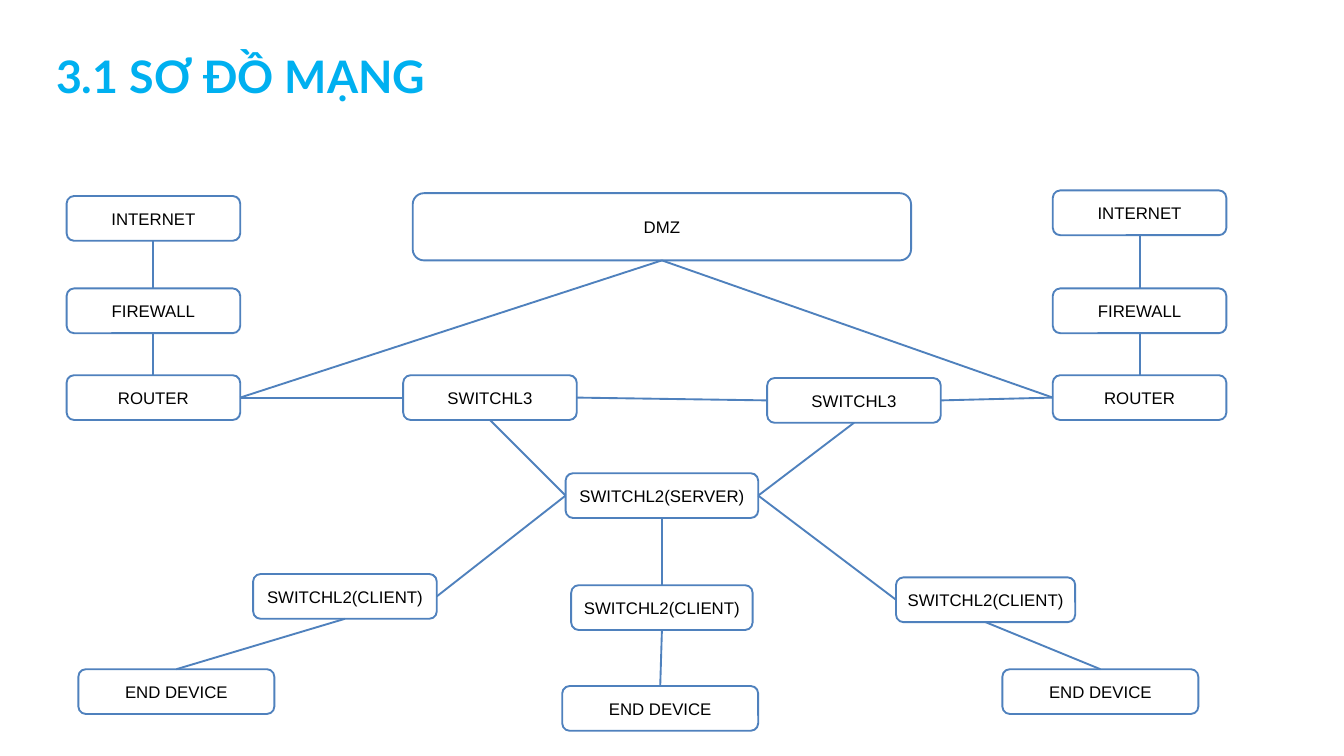
from dataclasses import dataclass
from enum import IntEnum

from lxml.etree import SubElement
from pptx import Presentation
from pptx.dml.color import RGBColor
from pptx.enum.shapes import MSO_CONNECTOR as Connector, MSO_SHAPE as Shape
from pptx.enum.text import MSO_ANCHOR as Anchor, PP_ALIGN as Align
from pptx.oxml.ns import qn
from pptx.util import Inches, Pt


@dataclass(frozen=True)
class Theme:
    accent: RGBColor = RGBColor(0x00, 0xB0, 0xF0)
    outline: RGBColor = RGBColor(0x4F, 0x81, 0xBD)
    ink: RGBColor = RGBColor(0, 0, 0)
    title_font: str = "Lato"
    label_font: str = "Arial"
    title_size: int = 48
    label_size: int = 18
    title_leading: float = 92.4
    stroke: int = 2


class Side(IntEnum):
    TOP = 0
    LEFT = 1
    BOTTOM = 2
    RIGHT = 3


@dataclass(frozen=True)
class Node:
    label: str
    column: float
    row: float
    columns: float = 31
    rows: float = 8


@dataclass(frozen=True)
class Link:
    start: str
    start_side: Side
    end: str
    end_side: Side


THEME = Theme()
WIDTH, HEIGHT = Inches(20), Inches(11.25)
COLUMNS, ROWS = 240, 135
LEFT_SITE, RIGHT_SITE = 11.9, 188

NODES = {
    "internet_left": Node("INTERNET", LEFT_SITE, 35),
    "internet_right": Node("INTERNET", RIGHT_SITE, 34),
    "firewall_left": Node("FIREWALL", LEFT_SITE, 51.5),
    "firewall_right": Node("FIREWALL", RIGHT_SITE, 51.5),
    "router_left": Node("ROUTER", LEFT_SITE, 67),
    "router_right": Node("ROUTER", RIGHT_SITE, 67),
    "dmz": Node("DMZ", 73.7, 34.5, 89, 12),
    "core_left": Node("SWITCHL3", 72, 67),
    "core_right": Node("SWITCHL3", 137, 67.5),
    "server": Node("SWITCHL2(SERVER)", 101, 84.5, 34.4),
    "client_left": Node("SWITCHL2(CLIENT)", 45.2, 102.5, 32.8),
    "client_middle": Node("SWITCHL2(CLIENT)", 102, 104.5, 32.4),
    "client_right": Node("SWITCHL2(CLIENT)", 160, 103.1, 32),
    "device_left": Node("END DEVICE", 14, 119.5, 35),
    "device_middle": Node("END DEVICE", 100.4, 122.5, 35),
    "device_right": Node("END DEVICE", 179, 119.5, 35),
}

DOWNWARD = [
    ("internet_left", "firewall_left"),
    ("firewall_left", "router_left"),
    ("internet_right", "firewall_right"),
    ("firewall_right", "router_right"),
    ("server", "client_middle"),
    ("client_left", "device_left"),
    ("client_middle", "device_middle"),
    ("client_right", "device_right"),
]
RIGHTWARD = [
    ("router_left", "core_left"),
    ("core_left", "core_right"),
    ("core_right", "router_right"),
    ("client_left", "server"),
    ("server", "client_right"),
]
LINKS = [
    *(Link(upper, Side.BOTTOM, lower, Side.TOP) for upper, lower in DOWNWARD),
    *(Link(near, Side.RIGHT, far, Side.LEFT) for near, far in RIGHTWARD),
    Link("core_left", Side.BOTTOM, "server", Side.LEFT),
    Link("core_right", Side.BOTTOM, "server", Side.RIGHT),
    Link("dmz", Side.BOTTOM, "router_left", Side.RIGHT),
    Link("dmz", Side.BOTTOM, "router_right", Side.LEFT),
]


def across(columns: float) -> int:
    return round(WIDTH * columns / COLUMNS)


def down(rows: float) -> int:
    return round(HEIGHT * rows / ROWS)


def write(frame, text: str, *, font: str, size: int, color: RGBColor,
          bold: bool = False, align=Align.LEFT, anchor=Anchor.TOP,
          leading: float | None = None) -> None:
    frame.word_wrap = True
    frame.vertical_anchor = anchor
    paragraph = frame.paragraphs[0]
    paragraph.alignment = align
    if leading:
        paragraph.line_spacing = Pt(leading)
    run = paragraph.add_run()
    run.text = text
    run.font.name = font
    run.font.size = Pt(size)
    run.font.bold = bold
    run.font.color.rgb = color


def draw_title(slide, text: str) -> None:
    title = slide.shapes.add_textbox(across(10), down(2.9), across(171), down(15.6))
    frame = title.text_frame
    frame.margin_left = frame.margin_right = 0
    frame.margin_top = frame.margin_bottom = 0
    write(frame, text, font=THEME.title_font, size=THEME.title_size,
          color=THEME.accent, bold=True, leading=THEME.title_leading)


def draw_node(slide, node: Node):
    box = slide.shapes.add_shape(
        Shape.ROUNDED_RECTANGLE, across(node.column), down(node.row),
        across(node.columns), down(node.rows))
    box.shadow.inherit = False
    box.fill.background()
    box.line.color.rgb = THEME.outline
    box.line.width = Pt(THEME.stroke)
    write(box.text_frame, node.label, font=THEME.label_font, size=THEME.label_size,
          color=THEME.ink, align=Align.CENTER, anchor=Anchor.MIDDLE)
    return box


def draw_link(slide, boxes: dict, link: Link) -> None:
    wire = slide.shapes.add_connector(Connector.STRAIGHT, 0, 0, 0, 0)
    wire.begin_connect(boxes[link.start], link.start_side)
    wire.end_connect(boxes[link.end], link.end_side)
    wire.line.color.rgb = THEME.outline
    wire.line.width = Pt(THEME.stroke)
    SubElement(wire.element.spPr, qn("a:effectLst"))


def main() -> None:
    deck = Presentation()
    deck.slide_width, deck.slide_height = WIDTH, HEIGHT
    slide = deck.slides.add_slide(deck.slide_layouts[6])
    draw_title(slide, "3.1 SƠ ĐỒ MẠNG")
    boxes = {key: draw_node(slide, node) for key, node in NODES.items()}
    for link in LINKS:
        draw_link(slide, boxes, link)
    deck.save("out.pptx")


if __name__ == "__main__":
    main()
